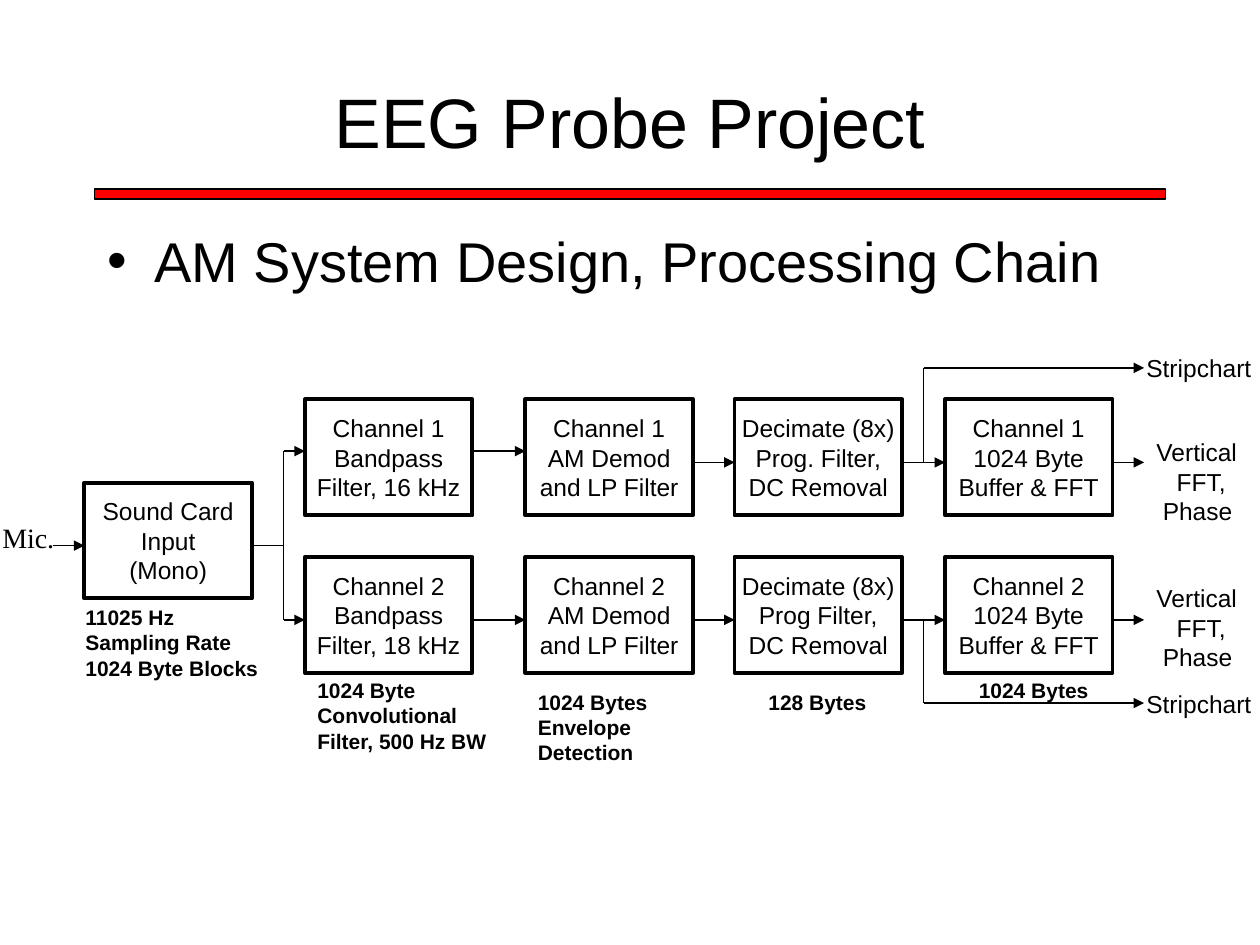
"""Build the EEG probe slide showing the two-channel AM processing chain."""
from dataclasses import dataclass

from lxml import etree
from pptx import Presentation
from pptx import util as u
from pptx.dml.color import RGBColor
from pptx.enum import shapes, text
from pptx.oxml import ns

BLACK, RED = "000000", "FF0000"
BOX_W, BOX_H = 1.33, 0.92
COLUMNS = (2.42, 4.17, 5.83, 7.5)
ROWS = (3.17, 4.42)
SOUND_CARD = (0.67, 3.83)


@dataclass(frozen=True)
class Stage:
    left: float
    top: float
    lines: tuple[str, ...]


@dataclass(frozen=True)
class Label:
    left: float
    top: float
    width: float
    height: float
    lines: tuple[str, ...]
    size: float = 14
    bold: bool = False
    font: str = "Arial"
    indents: tuple[float, ...] = (0, 0, 0)


@dataclass(frozen=True)
class Wire:
    points: tuple[tuple[float, float], ...]
    arrow: bool = True


STAGES = [Stage(*SOUND_CARD, ("Sound Card", "Input", "(Mono)"))]
for channel, row, frequency, program in zip((1, 2), ROWS, (16, 18), ("Prog.", "Prog")):
    chain = (
        (f"Channel {channel}", "Bandpass", f"Filter, {frequency} kHz"),
        (f"Channel {channel}", "AM Demod", "and LP Filter"),
        ("Decimate (8x)", f"{program} Filter,", "DC Removal"),
        (f"Channel {channel}", "1024 Byte", "Buffer & FFT"),
    )
    STAGES += [Stage(column, row, lines) for column, lines in zip(COLUMNS, chain)]

WIRES = [
    Wire(((2, 4.33), (2.25, 4.33)), arrow=False),
    Wire(((2.25, 4.33), (2.25, 3.58), (2.42, 3.58))),
    Wire(((2.25, 4.33), (2.25, 4.92), (2.42, 4.92))),
    Wire(((7.33, 3.67), (7.33, 2.92), (9.08, 2.92))),
    Wire(((7.33, 4.92), (7.33, 5.58), (9.08, 5.58))),
    Wire(((0.42, 4.33), (0.67, 4.33))),
]
for column, target, upper in zip(COLUMNS, (*COLUMNS[1:], 9.08), (3.58, 3.67, 3.67, 3.67)):
    WIRES += [Wire(((column + BOX_W, y), (target, y))) for y in (upper, 4.92)]

OUTPUT = ("Vertical", "FFT,", "Phase")
OUTPUT_INDENTS = (0, 0.16, 0.05)
LABELS = [
    Label(-0.08, 4.08, 0.61, 0.37, ("Mic.",), size=16, font="Times New Roman"),
    *(Label(9, top, 1.03, 0.34, ("Stripchart",)) for top in (2.75, 5.42)),
    *(Label(9.08, top, 0.85, 0.8, OUTPUT, indents=OUTPUT_INDENTS) for top in (3.42, 4.58)),
    Label(0.58, 4.75, 1.57, 0.7, ("11025 Hz", "Sampling Rate", "1024 Byte Blocks"), 12, True),
    Label(2.42, 5.33, 1.55, 0.7, ("1024 Byte", "Convolutional", "Filter, 500 Hz BW"), 12, True),
    Label(4.17, 5.42, 1.07, 0.7, ("1024 Bytes", "Envelope", "Detection"), 12, True),
    Label(6, 5.42, 0.98, 0.3, ("128 Bytes",), 12, True),
    Label(7.67, 5.33, 1.07, 0.3, ("1024 Bytes",), 12, True),
]


def color(value: str) -> RGBColor:
    """Turn a hex string into a colour."""
    return RGBColor.from_string(value)


def inches(*lengths: float) -> list[u.Length]:
    """Convert lengths to inches."""
    return [u.Inches(length) for length in lengths]


def add_run(paragraph, words: str, size: float, font: str = "Arial", bold: bool = False) -> None:
    """Append one formatted run to a paragraph."""
    run = paragraph.add_run()
    run.text = words
    run.font.size, run.font.name, run.font.bold = u.Pt(size), font, bold
    run.font.color.rgb = color(BLACK)


def add_box(slide, left: float, top: float, width: float, height: float, line: float):
    """Add an unfilled, black-outlined rectangle."""
    box = slide.shapes.add_shape(shapes.MSO_SHAPE.RECTANGLE, *inches(left, top, width, height))
    box.shadow.inherit = False
    box.fill.background()
    box.line.color.rgb = color(BLACK)
    box.line.width = u.Pt(line)
    return box


def add_stage(slide, stage: Stage) -> None:
    """Add one processing block with centred lines."""
    frame = add_box(slide, stage.left, stage.top, BOX_W, BOX_H, 2.25).text_frame
    frame.word_wrap = False
    frame.vertical_anchor = text.MSO_ANCHOR.MIDDLE
    for index, line in enumerate(stage.lines):
        paragraph = frame.add_paragraph() if index else frame.paragraphs[0]
        paragraph.alignment = text.PP_ALIGN.CENTER
        add_run(paragraph, line, 14)


def add_label(slide, label: Label) -> None:
    """Add a free-standing label whose lines may run to its right edge."""
    place = inches(label.left, label.top, label.width, label.height)
    frame = slide.shapes.add_textbox(*place).text_frame
    frame.word_wrap = True
    frame.auto_size = text.MSO_AUTO_SIZE.NONE
    frame.margin_right = 0
    for index, (line, indent) in enumerate(zip(label.lines, label.indents)):
        paragraph = frame.add_paragraph() if index else frame.paragraphs[0]
        if indent:
            paragraph._p.get_or_add_pPr().set("marL", str(u.Inches(indent)))
        add_run(paragraph, line, label.size, label.font, label.bold)


def add_wire(slide, wire: Wire) -> None:
    """Draw a wire leg by leg, with an arrowhead on the last."""
    legs = list(zip(wire.points, wire.points[1:]))
    for start, end in legs:
        leg = slide.shapes.add_connector(shapes.MSO_CONNECTOR.STRAIGHT, *inches(*start, *end))
        leg.line.color.rgb = color(BLACK)
        leg.line.width = u.Pt(0.75)
        if wire.arrow and (start, end) == legs[-1]:
            etree.SubElement(leg.line._get_or_add_ln(), ns.qn("a:tailEnd"), type="triangle")
        etree.SubElement(leg._element.spPr, ns.qn("a:effectLst"))


def fill_placeholder(holder, place: tuple[float, ...], words: str, size: float):
    """Move a placeholder, write its text and return the paragraph."""
    holder.left, holder.top, holder.width, holder.height = inches(*place)
    holder.text_frame.auto_size = text.MSO_AUTO_SIZE.NONE
    paragraph = holder.text_frame.paragraphs[0]
    add_run(paragraph, words, size)
    return paragraph


def main() -> None:
    """Assemble and save the slide."""
    deck = Presentation()
    deck.slide_width, deck.slide_height = inches(10, 7.5)
    slide = deck.slides.add_slide(deck.slide_layouts[1])
    title, body = slide.placeholders
    fill_placeholder(title, (0.75, 0.42, 8.5, 1.08), "EEG Probe Project", 40)
    topic = fill_placeholder(
        body, (0.75, 1.75, 8.5, 0.67), "AM System Design, Processing Chain", 32
    )
    topic.space_before = u.Pt(8)
    rule = add_box(slide, 0.75, 1.5, 8.5, 0.08, 0.75)
    rule.fill.solid()
    rule.fill.fore_color.rgb = color(RED)
    for stage in STAGES:
        add_stage(slide, stage)
    for wire in WIRES:
        add_wire(slide, wire)
    for label in LABELS:
        add_label(slide, label)
    deck.save("out.pptx")


if __name__ == "__main__":
    main()
